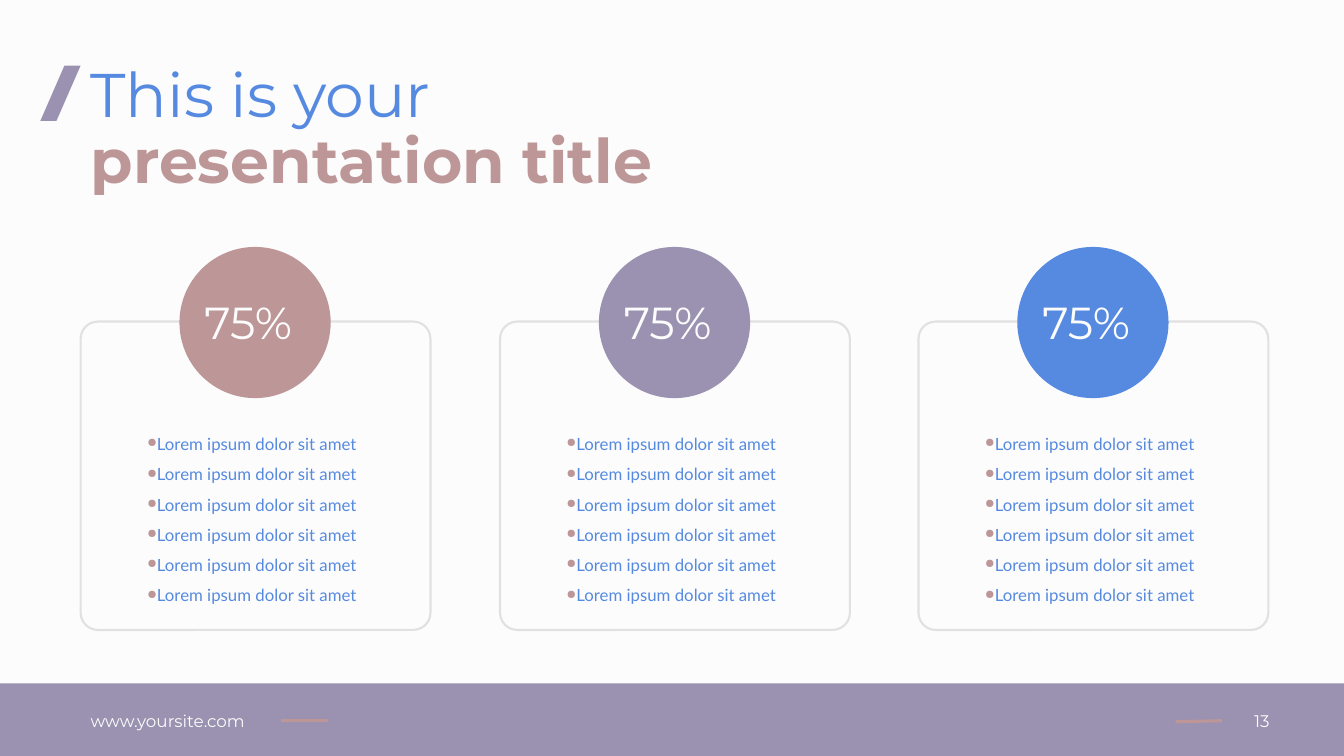
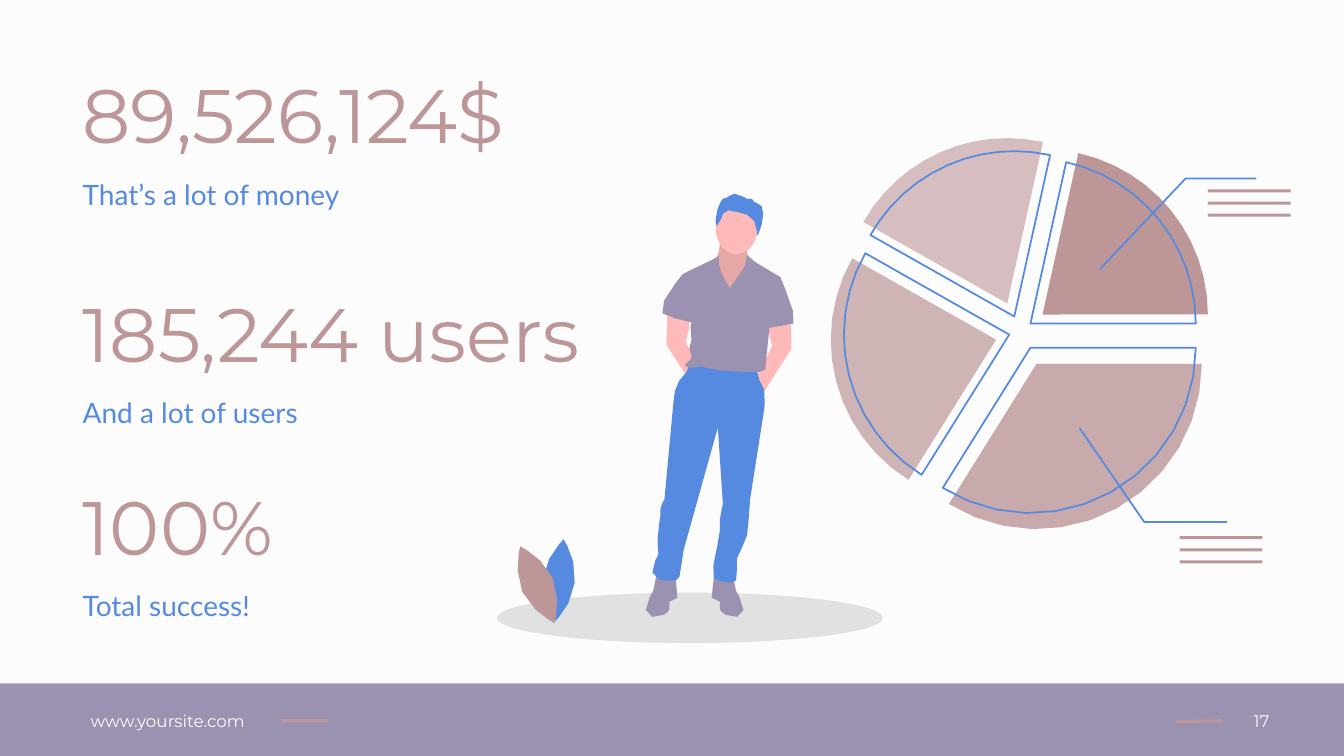
from math import cos, radians, sin

from lxml import etree
from pptx import Presentation
from pptx.dml.color import RGBColor
from pptx.enum.shapes import MSO_CONNECTOR, MSO_SHAPE
from pptx.enum.text import MSO_ANCHOR, PP_ALIGN
from pptx.oxml.ns import qn
from pptx.util import Inches, Pt

STRAIGHT = MSO_CONNECTOR.STRAIGHT
RECTANGLE = MSO_SHAPE.RECTANGLE
ROUNDED = MSO_SHAPE.ROUNDED_RECTANGLE
OVAL = MSO_SHAPE.OVAL
SLANT = MSO_SHAPE.PARALLELOGRAM
TOP, MIDDLE, BOTTOM = MSO_ANCHOR.TOP, MSO_ANCHOR.MIDDLE, MSO_ANCHOR.BOTTOM
LEFT, RIGHT = PP_ALIGN.LEFT, PP_ALIGN.RIGHT

COLOURS = {
    "paper": "FCFCFC",
    "mauve": "9A92B0",
    "rose": "BD9698",
    "blue": "568AE0",
    "grey": "E1E1E1",
    "skin": "FFB9B9",
    "neck": "E6A7A7",
}
STYLES = {
    "footer": ("paper", {"name": "Montserrat", "size": Pt(12)}),
    "title": ("blue", {"name": "Montserrat", "size": Pt(44)}),
    "title bold": ("rose", {"name": "Montserrat", "size": Pt(44), "bold": True}),
    "percent": ("paper", {"name": "Montserrat", "size": Pt(32)}),
    "list": ("blue", {"name": "Lato", "size": Pt(12)}),
    "figure": ("rose", {"name": "Montserrat", "size": Pt(54)}),
    "caption": ("blue", {"name": "Lato", "size": Pt(20)}),
}
SIDES = ("left", "top", "right", "bottom")

CARDS = ((0.8, "rose"), (4.96, "mauve"), (9.11, "blue"))
STATISTICS = (
    (0.32, "89,526,124$", "That’s a lot of money"),
    (2.49, "185,244 users", "And a lot of users"),
    (4.4, "100%", "Total success!"),
)

PIE_RADIUS = 1.64
SLICES = (
    (0, 122, (10.28, 3.61), (10.22, 3.45), 80),
    (122, 209.5, (9.88, 3.37), (10.01, 3.32), 70),
    (282.5, 360, (10.34, 3.12), (10.22, 3.21), 100),
    (209.5, 282.5, (9.99, 3.01), (10.06, 3.14), 60),
)
CALLOUTS = (
    (((10.91, 2.67), (11.76, 1.77), (12.46, 1.77)), (11.98, 1.88)),
    (((10.71, 4.25), (11.35, 5.18), (12.17, 5.18)), (11.7, 5.32)),
)

NECK = "M 7.14,2.36 C 7.14,2.36 7.15,2.51 7.1,2.58 7.06,2.64 7.22,3.03 7.22,3.03 L 7.45,2.59 C 7.45,2.59 7.38,2.54 7.42,2.41"
ARM = "M 6.62,3.1 L 6.61,3.42 6.91,3.89 6.96,3.71 6.8,3.39 C 6.8,3.39 6.85,3.25 6.84,3.16 6.82,3.07 6.62,3.1 6.62,3.1"
SHOE = (
    "M 6.51,5.71 L 6.48,5.86 C 6.48,5.86 6.32,6.12 6.47,6.12 6.63,6.12 6.64,6.04 6.64,6.04 "
    "L 6.64,5.97 C 6.64,5.97 6.72,5.93 6.72,5.93 6.72,5.92 6.7,5.73 6.7,5.73"
)
TROUSERS = (
    "M 6.84,3.61 L 6.81,3.69 C 6.72,3.77 6.68,3.88 6.68,3.99 L 6.59,4.96 "
    "C 6.59,4.96 6.53,5.03 6.55,5.12 6.55,5.12 6.5,5.4 6.53,5.5 6.53,5.5 6.39,5.74 6.54,5.75 "
    "6.68,5.77 6.72,5.77 6.74,5.72 6.75,5.66 6.78,5.46 6.78,5.46 L 7.12,4.24 7.17,5 "
    "C 7.17,5 7.12,5.2 7.14,5.26 7.15,5.31 7.03,5.7 7.08,5.74 7.14,5.78 7.29,5.79 7.3,5.76 "
    "7.31,5.73 7.31,5.54 7.31,5.54 7.31,5.54 7.39,5.37 7.41,5.31 7.42,5.26 7.44,4.95 7.44,4.95 "
    "L 7.58,4.06 C 7.58,4.06 7.61,3.81 7.53,3.77 L 7.5,3.63"
)
SHIRT = (
    "M 7.24,2.86 C 7.24,2.86 7.12,2.67 7.13,2.62 7.13,2.6 7.13,2.57 7.13,2.54 "
    "L 7.06,2.58 6.77,2.72 6.89,3.11 C 6.89,3.11 6.85,3.19 6.85,3.25 6.85,3.32 6.87,3.39 6.85,3.41 "
    "6.84,3.43 6.83,3.47 6.85,3.5 6.86,3.52 6.86,3.54 6.85,3.57 6.85,3.57 6.75,3.63 6.81,3.64 "
    "6.85,3.65 6.89,3.65 6.93,3.64 6.93,3.64 6.94,3.62 7,3.65 7.07,3.68 7.39,3.69 7.39,3.69 "
    "7.39,3.69 7.6,3.7 7.59,3.67 7.59,3.64 7.63,3.27 7.63,3.27 L 7.74,2.75 7.49,2.6 7.41,2.53 7.39,2.64"
)
LEFT_SLEEVE = "M 6.82,2.72 L 6.77,2.72 C 6.77,2.72 6.49,3.05 6.57,3.11 6.65,3.16 6.92,3.21 6.92,3.21 6.92,3.21 6.89,2.72 6.82,2.72"
RIGHT_SLEEVE = "M 7.67,2.75 L 7.74,2.75 C 7.74,2.75 7.93,3.19 7.87,3.21 7.81,3.22 7.58,3.27 7.58,3.25 7.58,3.22 7.67,2.75 7.67,2.75"
HAIR = (
    "M 7.11,2.24 C 7.11,2.24 7.09,2.21 7.1,2.17 7.1,2.15 7.11,2.13 7.11,2.11 7.11,2.08 7.13,2.05 7.14,2.02 "
    "7.16,1.99 7.15,1.97 7.21,1.96 7.26,1.95 7.24,1.88 7.39,1.96 7.4,1.97 7.42,1.98 7.44,1.97 "
    "7.47,1.97 7.48,2.01 7.48,2.01 7.48,2.01 7.5,2 7.51,2.02 7.51,2.03 7.57,2.01 7.57,2.12 "
    "7.57,2.24 7.51,2.34 7.51,2.34 7.51,2.34 7.51,2.15 7.41,2.13 7.31,2.11 7.2,2.05 7.17,2.12 "
    "7.16,2.16 7.14,2.2 7.11,2.24"
)
BACK_LEAF = "M 5.38,5.75 C 5.35,5.97 5.49,6.18 5.49,6.18 5.49,6.18 5.68,6.01 5.7,5.78 5.73,5.56 5.59,5.35 5.59,5.35 5.59,5.35 5.41,5.52 5.38,5.75"
FRONT_LEAF = "M 5.48,5.73 C 5.57,5.94 5.5,6.18 5.5,6.18 5.5,6.18 5.28,6.08 5.18,5.87 5.09,5.66 5.16,5.42 5.16,5.42 5.16,5.42 5.39,5.53 5.48,5.73"


def colour(name):
    """Return the named colour."""
    return RGBColor.from_string(COLOURS[name])


def paint(shape, fill=None, line=None, width=1.25, opacity=100):
    """Set fill, outline and opacity of a shape, without shadow."""
    shape.shadow.inherit = False
    if fill:
        shape.fill.solid()
        shape.fill.fore_color.rgb = colour(fill)
    else:
        shape.fill.background()
    if line:
        shape.line.color.rgb = colour(line)
        shape.line.width = Pt(width)
    else:
        shape.line.fill.background()
    if opacity < 100:
        tint = shape.element.find(".//" + qn("a:srgbClr"))
        etree.SubElement(tint, qn("a:alpha"), val=str(opacity * 1000))
    return shape


def add_form(page, preset, box, **look):
    """Add a painted preset shape."""
    return paint(page.shapes.add_shape(preset, *map(Inches, box)), **look)


def add_outline(page, points, close=True, **look):
    """Add a freeform through points given in inches."""
    start, *others = [(Inches(x), Inches(y)) for x, y in points]
    builder = page.shapes.build_freeform(*start)
    builder.add_line_segments(others, close=close)
    return paint(builder.convert_to_shape(), **look)


def add_line(page, start, end, tint, width):
    """Add a straight connector without shadow."""
    line = page.shapes.add_connector(STRAIGHT, *map(Inches, (*start, *end)))
    line.line.color.rgb = colour(tint)
    line.line.width = Pt(width)
    etree.SubElement(line.element.spPr, qn("a:effectLst"))
    return line


def add_text(page, box, texts, style, anchor=TOP, align=LEFT, spacing=1.0, inset=None, bullet=None):
    """Add a text box with one paragraph for each text."""
    holder = page.shapes.add_textbox(*map(Inches, box))
    frame = holder.text_frame
    frame.word_wrap = True
    frame.vertical_anchor = anchor
    if inset is not None:
        for side in SIDES:
            setattr(frame, f"margin_{side}", Inches(inset))
    tint, values = STYLES[style]
    for index, text in enumerate(texts):
        para = frame.add_paragraph() if index else frame.paragraphs[0]
        para.alignment = align
        para.line_spacing = spacing
        span = para.add_run()
        span.text = text
        span.font.color.rgb = colour(tint)
        for name, value in values.items():
            setattr(span.font, name, value)
        if bullet:
            add_bullet(para, bullet)
    return holder


def add_bullet(para, tint):
    """Give a paragraph a small round coloured bullet."""
    properties = para._p.get_or_add_pPr()
    properties.set("marL", "0")
    properties.set("indent", str(Inches(-0.12)))
    holder = etree.SubElement(properties, qn("a:buClr"))
    etree.SubElement(holder, qn("a:srgbClr"), val=COLOURS[tint])
    etree.SubElement(properties, qn("a:buSzPct"), val="75000")
    etree.SubElement(properties, qn("a:buChar"), char="●")


def add_footer(page, number):
    """Add the band with site address, page number and dashes."""
    add_form(page, RECTANGLE, (0, 6.78, 13.33, 0.72), fill="mauve")
    site = add_text(page, (0.8, 6.95, 1.99, 0.4), ["www.yoursite.com"], "footer", MIDDLE)
    count = add_text(page, (12.12, 6.95, 0.57, 0.4), [str(number)], "footer", MIDDLE, RIGHT)
    for holder, side, start, end in ((site, 3, 2.79, (3.25, 7.15)), (count, 1, 12.12, (11.66, 7.16))):
        dash = add_line(page, (start, 7.15), end, "rose", 2.25)
        dash.begin_connect(holder, side)


def add_title(page, left, top):
    """Add the two-line title with its slanted mark."""
    add_form(page, SLANT, (left - 0.4, top + 0.14, 0.4, 0.55), fill="mauve").adjustments[0] = 0.6
    add_text(page, (left, top, 8.27, 0.84), ["This is your"], "title")
    add_text(page, (left, top + 0.65, 5.94, 0.84), ["presentation title"], "title bold")


def add_card(page, left, top, tint):
    """Add a rounded card with a percentage disc and a bullet list."""
    card = add_form(page, ROUNDED, (left, top, 3.47, 3.06), fill="paper", line="grey", width=1.5)
    card.adjustments[0] = 0.056
    badge = page.shapes.add_group_shape()
    add_form(badge, OVAL, (left + 0.98, top - 0.74, 1.5, 1.5), fill=tint)
    add_text(badge, (left + 1.13, top - 0.21, 1.2, 0.43), ["75%"], "percent", MIDDLE, inset=0.1)
    add_text(page, (left + 0.56, top + 0.95, 2.35, 1.93), ["Lorem ipsum dolor sit amet"] * 6,
             "list", MIDDLE, spacing=1.5, inset=0.1, bullet="rose")


def add_statistic(page, left, top, figure, caption):
    """Add a large figure with its caption."""
    group = page.shapes.add_group_shape()
    add_text(group, (left, top, 5.53, 1.27), [figure], "figure", BOTTOM, spacing=0.9, inset=0)
    add_text(group, (left, top + 1.37, 5.53, 0.43), [caption], "caption", spacing=1.2, inset=0)


def trace(outline, steps=3):
    """Turn M, L and C commands into points, sampling the curves."""
    points, command, pending = [], "M", []
    for token in outline.split():
        if token in "MLC":
            command = token
            continue
        pending.append(tuple(map(float, token.split(","))))
        if command != "C":
            points.append(pending.pop())
        elif len(pending) == 3:
            controls, pending = (points[-1], *pending), []
            for step in range(1, steps + 1):
                t = step / steps
                weights = ((1 - t) ** 3, 3 * t * (1 - t) ** 2, 3 * t * t * (1 - t), t ** 3)
                points.append(tuple(sum(w * c for w, c in zip(weights, axis)) for axis in zip(*controls)))
    return points


def add_person(page):
    """Draw the standing man, his ground and the plant."""
    add_form(page, OVAL, (4.93, 5.88, 3.83, 0.5), fill="grey")
    add_outline(page, trace(NECK), fill="neck")
    for outline, tint, axis, drop in ((ARM, "skin", 7.23, 0.04), (SHOE, "mauve", 6.89, 0)):
        points = trace(outline)
        add_outline(page, points, fill=tint)
        add_outline(page, [(2 * axis - x, y + drop) for x, y in points], fill=tint)
    add_outline(page, trace(TROUSERS), fill="blue")
    add_form(page, OVAL, (7.1, 2.02, 0.41, 0.5), fill="skin")
    for outline, tint in ((SHIRT, "mauve"), (LEFT_SLEEVE, "mauve"), (RIGHT_SLEEVE, "mauve"),
                          (HAIR, "blue"), (BACK_LEAF, "blue"), (FRONT_LEAF, "rose")):
        add_outline(page, trace(outline), fill=tint)


def wedge(apex, start, end, steps=12):
    """Return the points of a pie slice, angles clockwise from the right."""
    angles = [radians(start + (end - start) * step / steps) for step in range(steps + 1)]
    x, y = apex
    return [apex] + [(x + PIE_RADIUS * cos(a), y + PIE_RADIUS * sin(a)) for a in angles]


def add_pie(page):
    """Draw the exploded pie, its shifted outlines and the callouts."""
    for start, end, solid, outlined, opacity in SLICES:
        add_outline(page, wedge(solid, start, end), fill="rose", opacity=opacity)
        add_outline(page, wedge(outlined, start, end), line="blue")
    for corners, (left, top) in CALLOUTS:
        add_outline(page, corners, close=False, line="blue")
        for row in range(3):
            add_form(page, RECTANGLE, (left, top + 0.12 * row, 0.82, 0.03), fill="rose")


def build_cards(page):
    """Build the slide with three percentage cards."""
    add_footer(page, 13)
    for left, tint in CARDS:
        add_card(page, left, 3.19, tint)
    add_title(page, 0.8, 0.51)


def build_statistics(page):
    """Build the slide with three figures and the illustration."""
    add_footer(page, 17)
    for top, figure, caption in STATISTICS:
        add_statistic(page, 0.82, top, figure, caption)
    illustration = page.shapes.add_group_shape()
    add_pie(illustration)
    add_person(illustration)


def main():
    """Build and save the deck."""
    deck = Presentation()
    deck.slide_width, deck.slide_height = Inches(13.33), Inches(7.5)
    backdrop = deck.slide_master.background.fill
    backdrop.solid()
    backdrop.fore_color.rgb = colour("paper")
    for build in (build_cards, build_statistics):
        build(deck.slides.add_slide(deck.slide_layouts[6]))
    deck.save("out.pptx")


if __name__ == "__main__":
    main()
